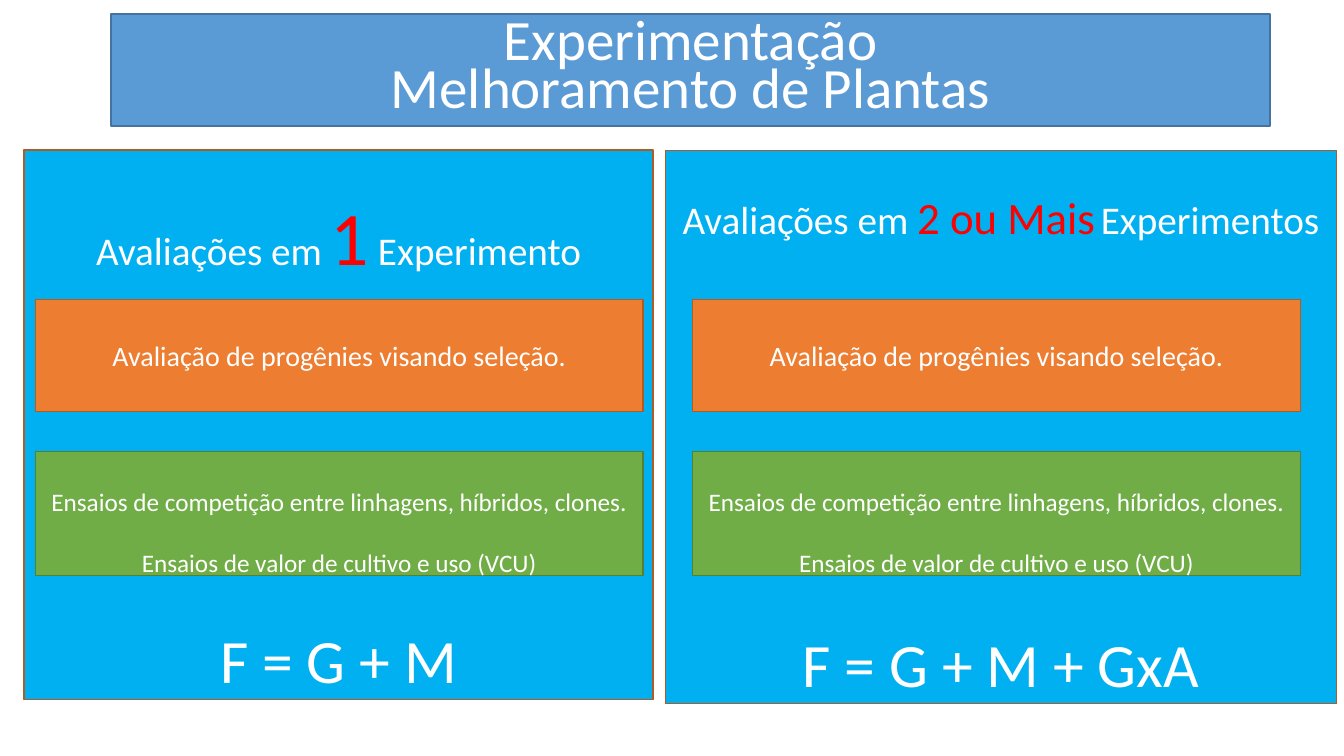
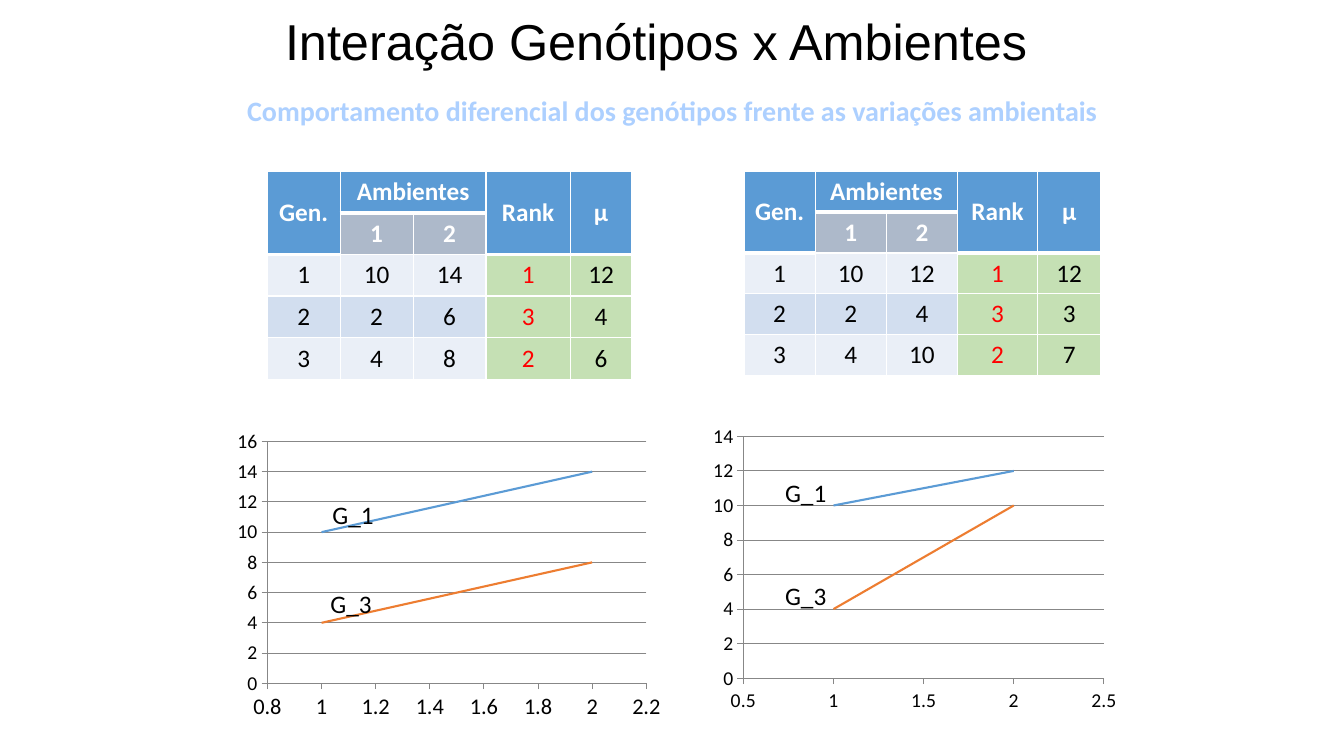
from lxml import etree
from pptx import Presentation
from pptx.chart.data import XyChartData
from pptx.dml.color import RGBColor
from pptx.enum.chart import XL_CHART_TYPE as CT, XL_TICK_MARK as Tick
from pptx.enum.shapes import MSO_SHAPE as Shape
from pptx.enum.text import MSO_ANCHOR as Anchor, PP_ALIGN as Align
from pptx.oxml import parse_xml
from pptx.oxml.ns import nsdecls, qn
from pptx.util import Inches, Pt

COLORS = {
    "white": "FFFFFF", "black": "000000", "red": "FF0000", "grid": "878787",
    "blue": "5B9BD5", "blue_edge": "43739E", "sky": "00B0F0", "pale_blue": "ADD0FF",
    "orange": "ED7D31", "orange_edge": "AF5C24",
    "green": "70AD47", "green_edge": "538035", "pale_green": "C5E0B4",
    "slate": "ADB9CA", "band_light": "EAEFF7", "band_dark": "D2DEEF",
}


def rgb(name):
    return RGBColor.from_string(COLORS[name])


class Deck:
    """Style and current slide; every box is given in percent of the slide."""

    font = "Calibri"

    def __init__(self):
        self.prs = Presentation()
        self.prs.slide_width, self.prs.slide_height = Inches(13.33), Inches(7.5)
        self.slide = None

    def new_slide(self):
        self.slide = self.prs.slides.add_slide(self.prs.slide_layouts[6])

    def x(self, share):
        return round(self.prs.slide_width * share / 100)

    def y(self, share):
        return round(self.prs.slide_height * share / 100)

    def box(self, left, top, width, height):
        return self.x(left), self.y(top), self.x(width), self.y(height)

    def add_paras(self, tf, paras, align=Align.CENTER, spacing=None, before=0, font=None):
        """Fill tf; a paragraph is a list of (text, size, colour, bold) runs."""
        for i, runs in enumerate(paras):
            p = tf.add_paragraph() if i else tf.paragraphs[0]
            p.alignment = align
            if spacing:
                p.line_spacing = spacing
            if i and before:
                p.space_before = Pt(before)
            for text, size, color, bold in runs:
                r = p.add_run()
                r.text = text
                r.font.name = font or self.font
                r.font.size = Pt(size)
                r.font.bold = bold
                r.font.color.rgb = rgb(color)

    def rect(self, box, color, edge, paras, anchor=Anchor.TOP, inset=0.05, **style):
        sp = self.slide.shapes.add_shape(Shape.RECTANGLE, *self.box(*box))
        sp.shadow.inherit = False
        sp.fill.solid()
        sp.fill.fore_color.rgb = rgb(color)
        sp.line.color.rgb = rgb(edge)
        sp.line.width = Pt(1)
        tf = sp.text_frame
        tf.word_wrap = True
        tf.vertical_anchor = anchor
        tf.margin_top = Inches(inset)
        self.add_paras(tf, paras, **style)

    def text(self, box, run, wrap=False, **style):
        tf = self.slide.shapes.add_textbox(*self.box(*box)).text_frame
        tf.word_wrap = wrap
        self.add_paras(tf, [[run]], **style)

    def cell(self, cell, value, fill, color, bold, top=1, bottom=1):
        cell.fill.solid()
        cell.fill.fore_color.rgb = rgb(fill)
        cell.vertical_anchor = Anchor.MIDDLE
        if value:
            self.add_paras(cell.text_frame, [[(value, 18, color, bold)]])
        tc_pr = cell._tc.get_or_add_tcPr()
        for i, (side, width) in enumerate(zip("LRTB", (1, 1, top, bottom))):
            tc_pr.insert(i, parse_xml(
                f'<a:ln{side} {nsdecls("a")} w="{Pt(width)}"><a:solidFill>'
                f'<a:srgbClr val="{COLORS["white"]}"/></a:solidFill></a:ln{side}>'))

    def rank_table(self, left, widths, row_height, body):
        """Genotype table with a two-row header, at one height on the slide."""
        rows = [["Gen.", "Ambientes", "", "Rank", "µ"], ["", "1", "2", "", ""], *body]
        box = self.box(left, 22.67, sum(widths), row_height * len(rows))
        tbl = self.slide.shapes.add_table(len(rows), len(widths), *box).table
        tbl.first_row = tbl.horz_banding = False
        for col, width in zip(tbl.columns, widths):
            col.width = self.x(width)
        for row in tbl.rows:
            row.height = self.y(row_height)
        for i, values in enumerate(rows):
            for j, value in enumerate(values):
                split = j in (1, 2)
                color, bold = ("white", True) if i < 2 else ("black", False)
                if i < 2:
                    fill = "slate" if i and split else "blue"
                elif j > 2:
                    fill = "pale_green"
                    color = "red" if j == 3 else color
                else:
                    fill = "band_dark" if i % 2 else "band_light"
                thick_row = 0 if split else 1
                self.cell(tbl.cell(i, j), str(value), fill, color, bold,
                          top=3 if i == thick_row + 1 else 1,
                          bottom=3 if i == thick_row else 1)
        for first, last in (((0, 0), (1, 0)), ((0, 1), (0, 2)),
                            ((0, 3), (1, 3)), ((0, 4), (1, 4))):
            tbl.cell(*first).merge(tbl.cell(*last))

    def axis(self, axis, low, high, step, size):
        axis.minimum_scale, axis.maximum_scale, axis.major_unit = low, high, step
        axis.major_tick_mark, axis.minor_tick_mark = Tick.OUTSIDE, Tick.NONE
        axis.has_major_gridlines = False
        axis.format.line.color.rgb = rgb("grid")
        axis.tick_labels.font.size = Pt(size)
        axis.tick_labels.number_format = "General"
        axis.tick_labels.number_format_is_linked = False

    def line_chart(self, box, lines, x_axis, y_axis):
        """Lines over environments 1 and 2; an axis is (low, high, step, size)."""
        data = XyChartData()
        for name, values in lines.items():
            series = data.add_series(name)
            for env, value in enumerate(values, 1):
                series.add_data_point(env, value)
        chart = self.slide.shapes.add_chart(
            CT.XY_SCATTER_LINES_NO_MARKERS, *self.box(*box), data).chart
        chart.has_legend = chart.has_title = False
        chart.font.name = self.font
        chart.font.size = Pt(14)
        chart.font.color.rgb = rgb("black")
        self.axis(chart.category_axis, *x_axis)
        self.axis(chart.value_axis, *y_axis)
        chart.value_axis.has_major_gridlines = True
        chart.value_axis.major_gridlines.format.line.color.rgb = rgb("grid")
        plot = chart.plots[0]
        plot.vary_by_categories = False
        for series, color in zip(plot.series, ("blue", "orange")):
            series.smooth = False
            series.format.line.color.rgb = rgb(color)
            series.format.line.width = Pt(1.5)
        self.plot_area(chart, x=0.09, y=0.06, w=0.86, h=0.8)

    def plot_area(self, chart, **shares):
        area = chart._chartSpace.find(".//" + qn("c:plotArea"))
        for old in area.findall(qn("c:layout")):
            area.remove(old)
        layout = etree.Element(qn("c:layout"))
        manual = etree.SubElement(layout, qn("c:manualLayout"))
        settings = {"layoutTarget": "inner", "xMode": "edge", "yMode": "edge", **shares}
        for tag, value in settings.items():
            etree.SubElement(manual, qn("c:" + tag)).set("val", str(value))
        area.insert(0, layout)


def experiments_slide(deck):
    deck.new_slide()
    deck.rect((8.25, 1.87, 86.25, 14.8), "blue", "blue_edge",
              [[(line, 40.7, "white", False)]
               for line in ("Experimentação", "Melhoramento de Plantas")],
              anchor=Anchor.MIDDLE, spacing=0.7)
    panels = [
        ((1.8, 19.87, 46.8, 72.67), 2.63, ("1", 54, "red", False),
         [(" Experimento", 28, "white", False)], "F = G + M", 244),
        ((49.5, 19.87, 49.95, 73.2), 51.53, ("2 ou Mais", 32, "red", False),
         [(" ", 18, "white", False), ("Experimentos", 28, "white", False)],
         "F = G + M + GxA", 273),
    ]
    for box, left, count, ending, formula, gap in panels:
        heading = [("Avaliações em ", 28, "white", False), count, *ending]
        deck.rect(box, "sky", "orange_edge",
                  [heading, [(formula, 44, "white", False)]], inset=0.39, before=gap)
        deck.rect((left, 59.73, 45.23, 16.4), "green", "green_edge",
                  [[(line, 18, "white", False)] for line in (
                      "Ensaios de competição entre linhagens, híbridos, clones.",
                      "Ensaios de valor de cultivo e uso (VCU)")], spacing=2.0)
        deck.rect((left, 39.6, 45.23, 14.8), "orange", "orange_edge",
                  [[("Avaliação de progênies visando seleção.", 20, "white", False)]],
                  inset=0.39)


def interaction_slide(deck):
    deck.new_slide()
    deck.text((16.28, 12.27, 67.5, 6),
              ("Comportamento diferencial dos genótipos frente as variações ambientais",
               20, "pale_blue", True), wrap=True, spacing=0.9)
    deck.text((20.18, 0.67, 57.3, 9.47),
              ("Interação Genótipos x Ambientes", 36, "black", False), font="Arial")

    deck.rank_table(19.88, (5.43, 5.43, 5.43, 6.26, 4.6), 5.5,
                    [(1, 10, 14, 1, 12), (2, 2, 6, 3, 4), (3, 4, 8, 2, 6)])
    deck.rank_table(55.35, (5.3, 5.3, 5.3, 5.96, 4.7), 5.4,
                    [(1, 10, 12, 1, 12), (2, 2, 4, 3, 3), (3, 4, 10, 2, 7)])

    deck.line_chart((16.95, 56, 32.78, 40), {"G_1": (10, 14), "G_3": (4, 8)},
                    (0.8, 2.2, 0.2, 16), (0, 16, 2, 14))
    deck.line_chart((52.5, 55.33, 31.2, 40), {"G_1": (10, 12), "G_3": (4, 10)},
                    (0.5, 2.5, 0.5, 14), (0, 14, 2, 14))
    for name, left, top in (("G_1", 24, 65.33), ("G_3", 23.85, 77.2),
                            ("G_1", 57.68, 62.53), ("G_3", 57.68, 76.13)):
        deck.text((left, top, 4.65, 5.33), (name, 18, "black", False), align=Align.LEFT)


def main():
    deck = Deck()
    experiments_slide(deck)
    interaction_slide(deck)
    deck.prs.save("out.pptx")


if __name__ == "__main__":
    main()
